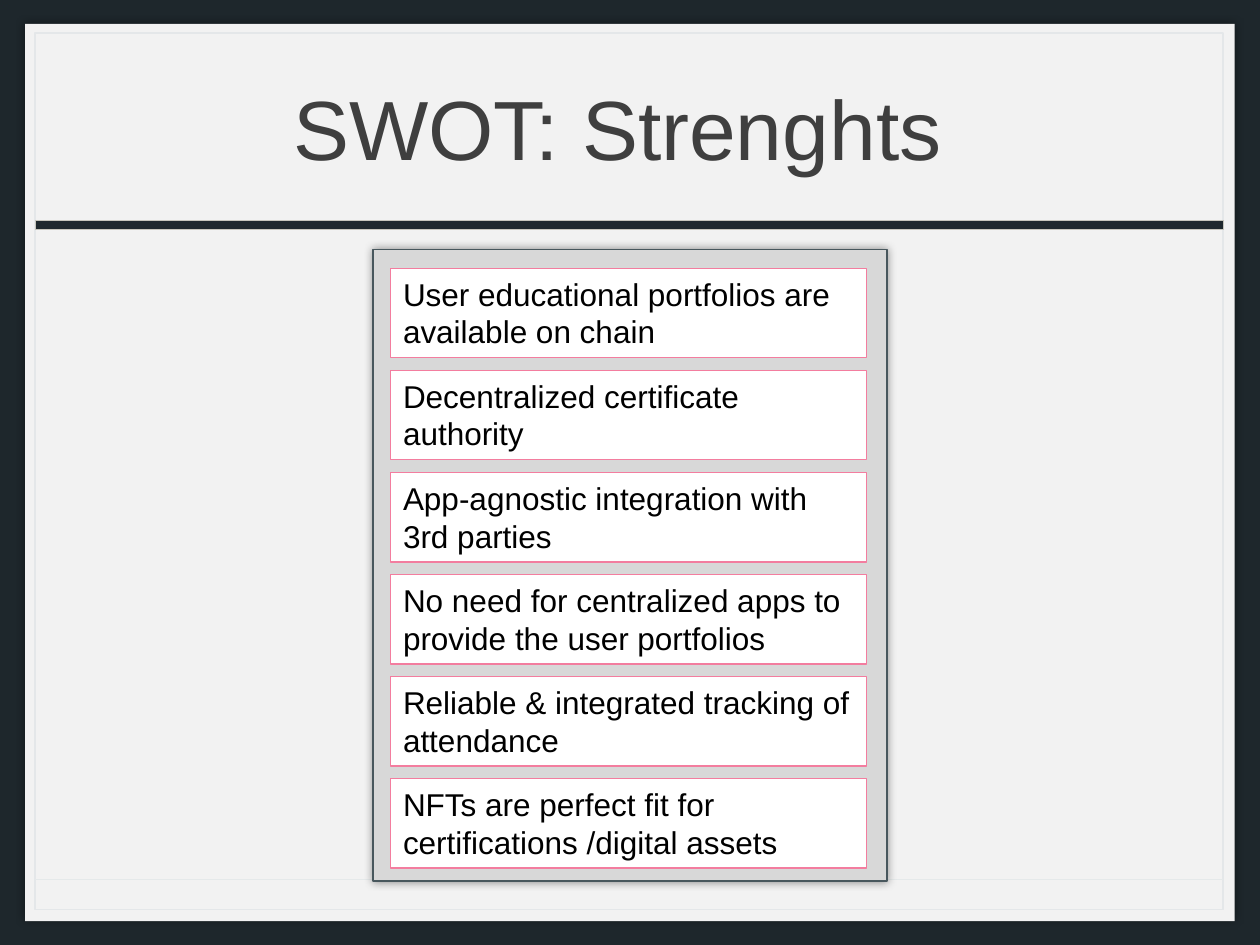
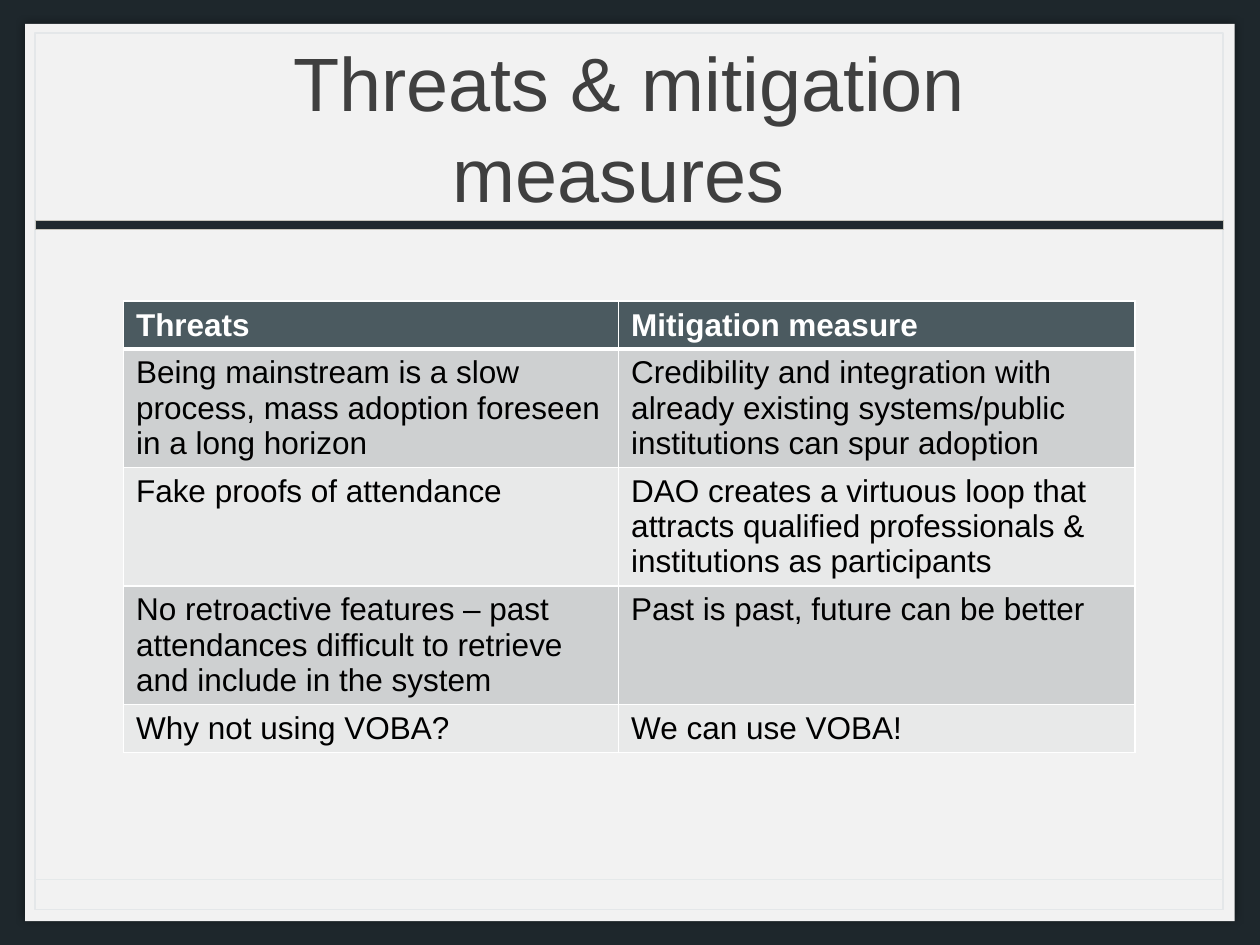
from dataclasses import dataclass
from typing import NamedTuple, Optional

from lxml.etree import SubElement
from pptx import Presentation
from pptx.dml.color import RGBColor
from pptx.enum.shapes import MSO_CONNECTOR as Connector, MSO_SHAPE as Shape
from pptx.enum.text import MSO_ANCHOR as Anchor, MSO_AUTO_SIZE as AutoSize, PP_ALIGN as Align
from pptx.oxml import parse_xml
from pptx.oxml.ns import nsdecls, qn
from pptx.util import Emu, Pt

EMU_PER_PX = 9144  # 100 px to the inch
TITLE_ONLY = 5


@dataclass(frozen=True)
class Theme:
    font: str = "Arial"
    backdrop: str = "1E272C"
    paper: str = "F2F2F2"
    frame_line: str = "E4E7E9"
    footer_line: str = "E5E9EA"
    band: str = "1F282D"
    band_line: str = "C6C5BC"
    title: str = "3F3F3F"
    text: str = "000000"
    white: str = "FFFFFF"
    panel: str = "D8D8D8"
    panel_line: str = "48575D"
    card_line: str = "F37D9F"
    header: str = "4B5A60"
    odd_row: str = "CED0D1"
    even_row: str = "E8E9E9"
    title_size: float = 48
    long_title_size: float = 43.2
    body_size: float = 18


THEME = Theme()


class Box(NamedTuple):
    left: int
    top: int
    width: int
    height: int

    def emu(self) -> tuple:
        return tuple(px(length) for length in self)


class Block(NamedTuple):
    box: Box
    fill: Optional[str] = None
    line: Optional[str] = None
    line_width: float = 1
    shadow: bool = False


class Measure(NamedTuple):
    threat: str
    mitigation: str


# Shared layout
PAGE = Box(0, 0, 1000, 750)
TITLE = Box(98, 27, 803, 147)
FRAME = Box(28, 26, 943, 696)
FOOTER_TOP = 698
BACKGROUND_BLOCKS = (
    Block(Box(20, 19, 960, 712), THEME.paper, shadow=True),
    Block(FRAME, line=THEME.frame_line),
    Block(Box(FRAME.left, 175, FRAME.width, 7), THEME.band, THEME.band_line, 0.75),
)

# Strengths
PANEL = Block(Box(296, 198, 408, 501), THEME.panel, THEME.panel_line, shadow=True)
FIRST_CARD = Box(310, 213, 378, 71)
CARD_PITCH = 81
STRENGTHS = (
    "User educational portfolios are available on chain",
    "Decentralized certificate authority",
    "App-agnostic integration with 3rd parties",
    "No need for centralized apps to provide the user portfolios",
    "Reliable & integrated tracking of attendance",
    "NFTs are perfect fit for certifications /digital assets",
)

# Threats
TABLE = Box(98, 239, 803, 356)
COLUMN_WIDTHS = (393, 410)
ROW_HEIGHTS = (37, 94, 94, 94, 37)
MEASURES = (
    Measure("Threats", "Mitigation measure"),
    Measure("Being mainstream is a slow process, mass adoption foreseen in a long horizon",
            "Credibility and integration with already existing systems/public "
            "institutions can spur adoption"),
    Measure("Fake proofs of attendance",
            "DAO creates a virtuous loop that attracts qualified professionals & "
            "institutions as participants"),
    Measure("No retroactive features – past attendances difficult to retrieve "
            "and include in the system",
            "Past is past, future can be better"),
    Measure("Why not using VOBA?", "We can use VOBA!"),
)


def px(length: int) -> Emu:
    return Emu(length * EMU_PER_PX)


def rgb(color: str) -> RGBColor:
    return RGBColor.from_string(color)


def write(frame, text: str, size: float, color: str, align=Align.LEFT,
          bold: bool = False) -> None:
    frame.text = text
    frame.word_wrap = True
    paragraph = frame.paragraphs[0]
    paragraph.alignment = align
    font = paragraph.runs[0].font
    font.name, font.size, font.bold = THEME.font, Pt(size), bold
    font.color.rgb = rgb(color)


def add_glow(shape) -> None:
    """Soft dark shadow spread evenly around the shape."""
    shape.element.spPr.append(parse_xml(
        f'<a:effectLst {nsdecls("a")}><a:outerShdw blurRad="{Pt(5)}" dist="0" dir="0">'
        '<a:srgbClr val="000000"><a:alpha val="40000"/></a:srgbClr>'
        '</a:outerShdw></a:effectLst>'))


def add_block(slide, block: Block):
    shape = slide.shapes.add_shape(Shape.RECTANGLE, *block.box.emu())
    if block.fill:
        shape.fill.solid()
        shape.fill.fore_color.rgb = rgb(block.fill)
    else:
        shape.fill.background()
    if block.line:
        shape.line.color.rgb = rgb(block.line)
        shape.line.width = Pt(block.line_width)
    else:
        shape.line.fill.background()
    if block.shadow:
        add_glow(shape)
    else:
        shape.shadow.inherit = False
    return shape


def add_footer_rule(slide):
    rule = slide.shapes.add_connector(
        Connector.STRAIGHT, px(FRAME.left), px(FOOTER_TOP),
        px(FRAME.left + FRAME.width), px(FOOTER_TOP))
    rule.line.color.rgb = rgb(THEME.footer_line)
    rule.line.width = Pt(1)
    SubElement(rule.element.spPr, qn("a:effectLst"))
    return rule


def style_layout(layout, slide) -> None:
    """Draw the frame on a slide, then hand it to the layout all slides use."""
    layout.background.fill.solid()
    layout.background.fill.fore_color.rgb = rgb(THEME.backdrop)
    parts = [add_block(slide, block) for block in BACKGROUND_BLOCKS]
    parts.append(add_footer_rule(slide))
    for part in parts:
        layout.shapes.element.append(part.element)


def set_title(slide, text: str, size: float) -> None:
    title = slide.shapes.title
    title.left, title.top, title.width, title.height = TITLE.emu()
    frame = title.text_frame
    write(frame, text, size, THEME.title, Align.CENTER)
    frame.vertical_anchor = Anchor.MIDDLE
    frame.auto_size = AutoSize.NONE


def add_strengths(slide) -> None:
    add_block(slide, PANEL)
    for index, strength in enumerate(STRENGTHS):
        box = FIRST_CARD._replace(top=FIRST_CARD.top + index * CARD_PITCH)
        card = add_block(slide, Block(box, THEME.white, THEME.card_line, 0.75))
        write(card.text_frame, strength, THEME.body_size, THEME.text)
        card.text_frame.vertical_anchor = Anchor.TOP


def set_borders(cell, top: float, bottom: float) -> None:
    properties = cell._tc.get_or_add_tcPr()
    widths = {"lnL": 1, "lnR": 1, "lnT": top, "lnB": bottom}
    for position, (side, width) in enumerate(widths.items()):
        properties.insert(position, parse_xml(
            f'<a:{side} {nsdecls("a")} w="{Pt(width)}"><a:solidFill>'
            f'<a:srgbClr val="{THEME.white}"/></a:solidFill></a:{side}>'))


def add_threats(slide) -> None:
    table = slide.shapes.add_table(len(MEASURES), len(COLUMN_WIDTHS), *TABLE.emu()).table
    table.horz_banding = False
    for column, width in zip(table.columns, COLUMN_WIDTHS):
        column.width = px(width)
    for index, (row, height, measure) in enumerate(zip(table.rows, ROW_HEIGHTS, MEASURES)):
        row.height = px(height)
        heading = index == 0
        row_fill = THEME.odd_row if index % 2 else THEME.even_row
        for cell, text in zip(row.cells, measure):
            cell.fill.solid()
            cell.fill.fore_color.rgb = rgb(THEME.header if heading else row_fill)
            write(cell.text_frame, text, THEME.body_size,
                  THEME.white if heading else THEME.text, bold=heading)
            set_borders(cell, top=3 if index == 1 else 1, bottom=3 if heading else 1)


def main() -> None:
    deck = Presentation()
    deck.slide_width, deck.slide_height = px(PAGE.width), px(PAGE.height)
    layout = deck.slide_layouts[TITLE_ONLY]
    strengths = deck.slides.add_slide(layout)
    threats = deck.slides.add_slide(layout)
    style_layout(layout, strengths)

    set_title(strengths, "SWOT: Strenghts ", THEME.title_size)
    add_strengths(strengths)

    set_title(threats, "Threats & mitigation measures ", THEME.long_title_size)
    add_threats(threats)

    deck.save("out.pptx")


if __name__ == "__main__":
    main()
